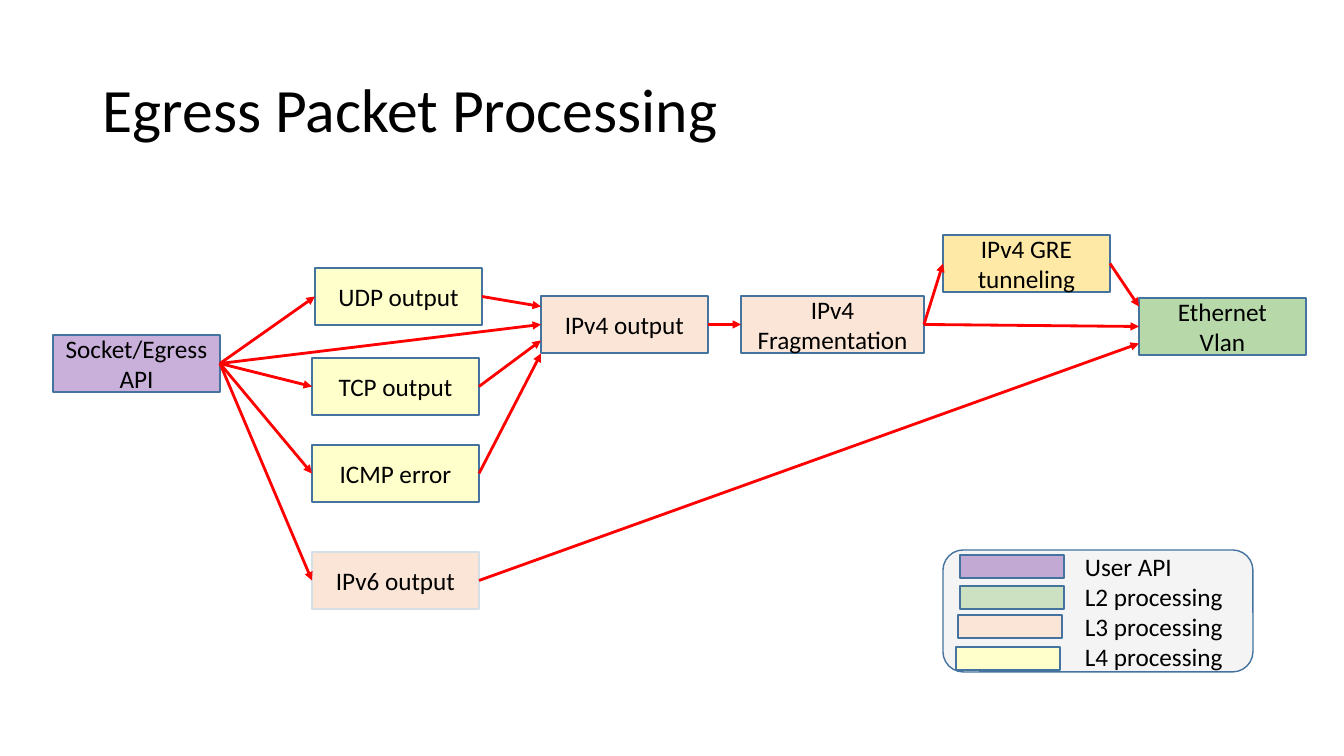
from pptx import Presentation, util as u
from pptx.dml.color import RGBColor
from pptx.enum import shapes, text
from pptx.oxml.ns import qn
from lxml import etree

PX = 914400 / 100.8
FONT, BLACK, BLUE, RED = "Calibri", "000000", "43739E", "FF0000"

# Layer colours: fill and opacity in percent
USER, L3, L4 = ("7030A0", 38), ("FBE5D6", 100), ("FFFFCC", 100)
TUNNEL, L2, L2_KEY = ("FFE9A6", 100), ("B7D8A8", 100), ("B7D8A8", 66)
PANEL = ("D9D9D9", 28)

# Stages: key, paragraphs, left, top, width, fill, line colour
BOX_W, BOX_H = 167, 57
STAGES = [
    ("api", ["Socket/Egress API"], 53, 335, BOX_W, USER, BLUE),
    ("ipv4", ["IPv4 output"], 541, 296, BOX_W, L3, BLUE),
    ("udp", ["UDP output"], 315, 268, BOX_W, L4, BLUE),
    ("tcp", ["TCP output"], 312, 358, BOX_W, L4, BLUE),
    ("icmp", ["ICMP error"], 312, 445, BOX_W, L4, BLUE),
    ("ipv6", ["IPv6 output"], 312, 552, BOX_W, L3, "D5DFE5"),
    ("gre", ["IPv4 GRE tunneling"], 943, 235, BOX_W, TUNNEL, BLUE),
    ("eth", ["Ethernet", "Vlan"], 1139, 298, BOX_W, L2, BLUE),
    ("frag", ["IPv4 Fragmentation"], 741, 296, 183, L3, BLUE),
]
# Arrows: source, target, vertical offset from the middle of the target's left side
FLOWS = [
    ("api", "udp", 0), ("api", "ipv4", 0), ("api", "tcp", 0),
    ("api", "icmp", 0), ("api", "ipv6", 0),
    ("udp", "ipv4", -18), ("tcp", "ipv4", 16), ("icmp", "ipv4", 29),
    ("ipv6", "eth", 17), ("ipv4", "frag", 0), ("frag", "gre", 0),
    ("frag", "eth", 0), ("gre", "eth", -20),
]
# Legend: label, swatch left, swatch top, fill
LEGEND = [
    ("User API", 960, 555, USER),
    ("L2 processing", 960, 586, L2_KEY),
    ("L3 processing", 958, 615, L3),
    ("L4 processing", 956, 647, L4),
]
LEFT_SITE, RIGHT_SITE = 1, 3


def px(*values):
    return [u.Emu(round(v * PX)) for v in values]


def rgb(color):
    return RGBColor.from_string(color)


def add_run(p, words, size=18):
    r = p.add_run()
    r.text = words
    r.font.name, r.font.size = FONT, u.Pt(size)
    r.font.color.rgb = rgb(BLACK)


def add_box(at, fill, line=BLUE, kind=shapes.MSO_SHAPE.RECTANGLE):
    sp = s.shapes.add_shape(kind, *px(*at))
    sp.shadow.inherit = False
    color, opacity = fill
    sp.fill.solid()
    sp.fill.fore_color.rgb = rgb(color)
    if opacity < 100:
        clr = sp._element.spPr.find(qn("a:solidFill"))[0]
        etree.SubElement(clr, qn("a:alpha"), val=str(opacity * 1000))
    sp.line.color.rgb = rgb(line)
    sp.line.width = u.Pt(1)
    return sp


def add_text(at):
    tf = s.shapes.add_textbox(*px(*at)).text_frame
    tf.word_wrap = True
    return tf


def add_arrow(source, target, dy):
    x1, y1 = source.left + source.width, source.top + source.height // 2
    x2, y2 = target.left, target.top + target.height // 2 + px(dy)[0]
    c = s.shapes.add_connector(shapes.MSO_CONNECTOR.STRAIGHT, x1, y1, x2, y2)
    c.begin_connect(source, RIGHT_SITE)
    if dy == 0:
        c.end_connect(target, LEFT_SITE)
    c.line.color.rgb = rgb(RED)
    c.line.width = u.Pt(2)
    etree.SubElement(c.line._get_or_add_ln(), qn("a:tailEnd"), type="triangle")
    etree.SubElement(c._element.spPr, qn("a:effectLst"))


prs = Presentation()
prs.slide_width, prs.slide_height = px(1344, 756)
s = prs.slides.add_slide(prs.slide_layouts[6])

# Title
tf = add_text((93, 40, 1159, 146))
tf.vertical_anchor = text.MSO_ANCHOR.MIDDLE
tf.paragraphs[0].line_spacing = 0.9
add_run(tf.paragraphs[0], "Egress Packet Processing", 44)

# Processing stages
stages = {}
for key, lines, left, top, width, fill, line in STAGES:
    sp = stages[key] = add_box((left, top, width, BOX_H), fill, line)
    tf = sp.text_frame
    tf.word_wrap = True
    tf.vertical_anchor = text.MSO_ANCHOR.MIDDLE
    for i, words in enumerate(lines):
        p = tf.add_paragraph() if i else tf.paragraphs[0]
        p.alignment = text.PP_ALIGN.CENTER
        add_run(p, words)

# Packet flow
for source, target, dy in FLOWS:
    add_arrow(stages[source], stages[target], dy)

# Legend
add_box((943, 550, 310, 122), PANEL, kind=shapes.MSO_SHAPE.ROUNDED_RECTANGLE)
tf = add_text((1075, 546, 169, 126))
for i, (label, left, top, fill) in enumerate(LEGEND):
    p = tf.add_paragraph() if i else tf.paragraphs[0]
    add_run(p, label)
    add_box((left, top, 104, 23), fill)

prs.save("out.pptx")
